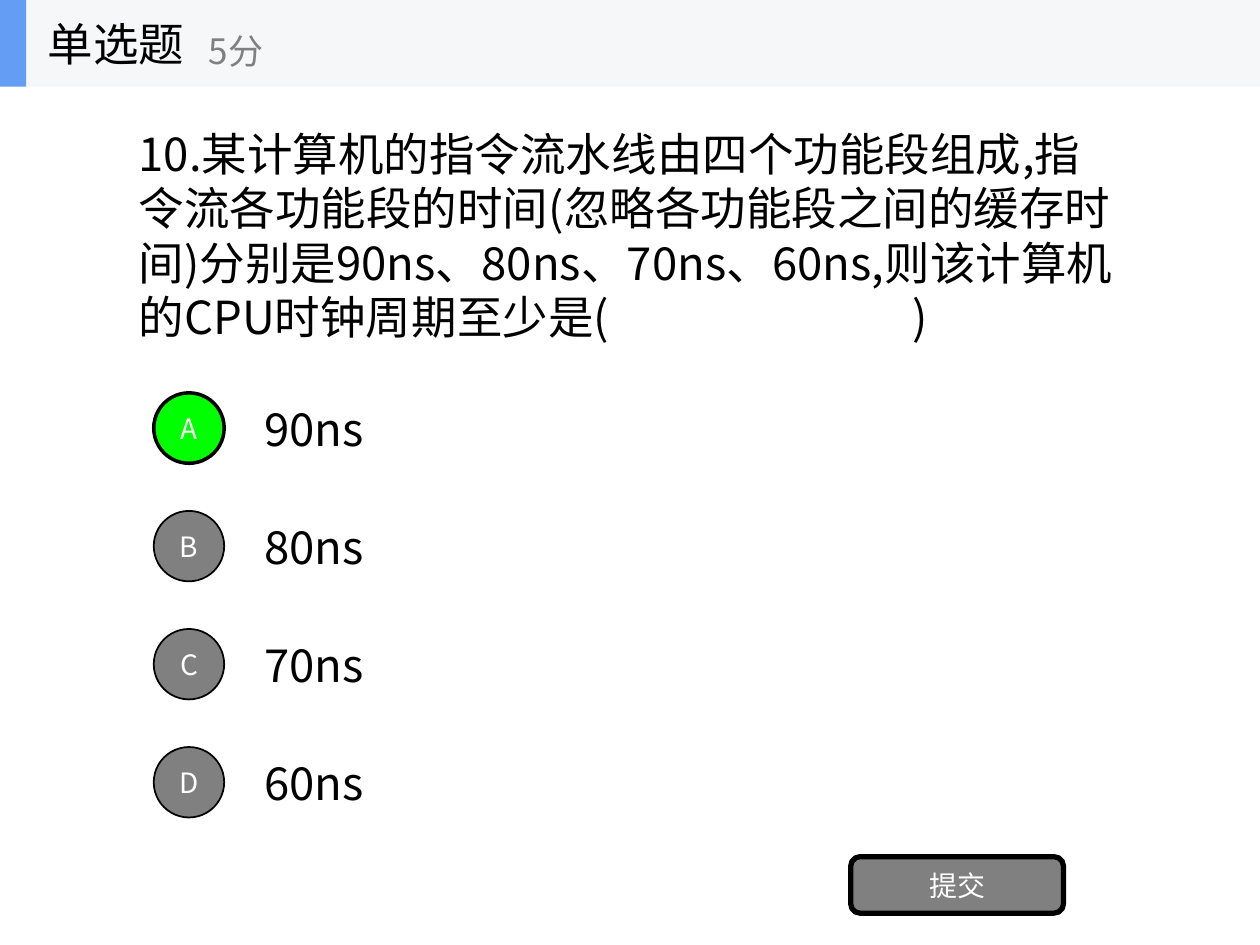
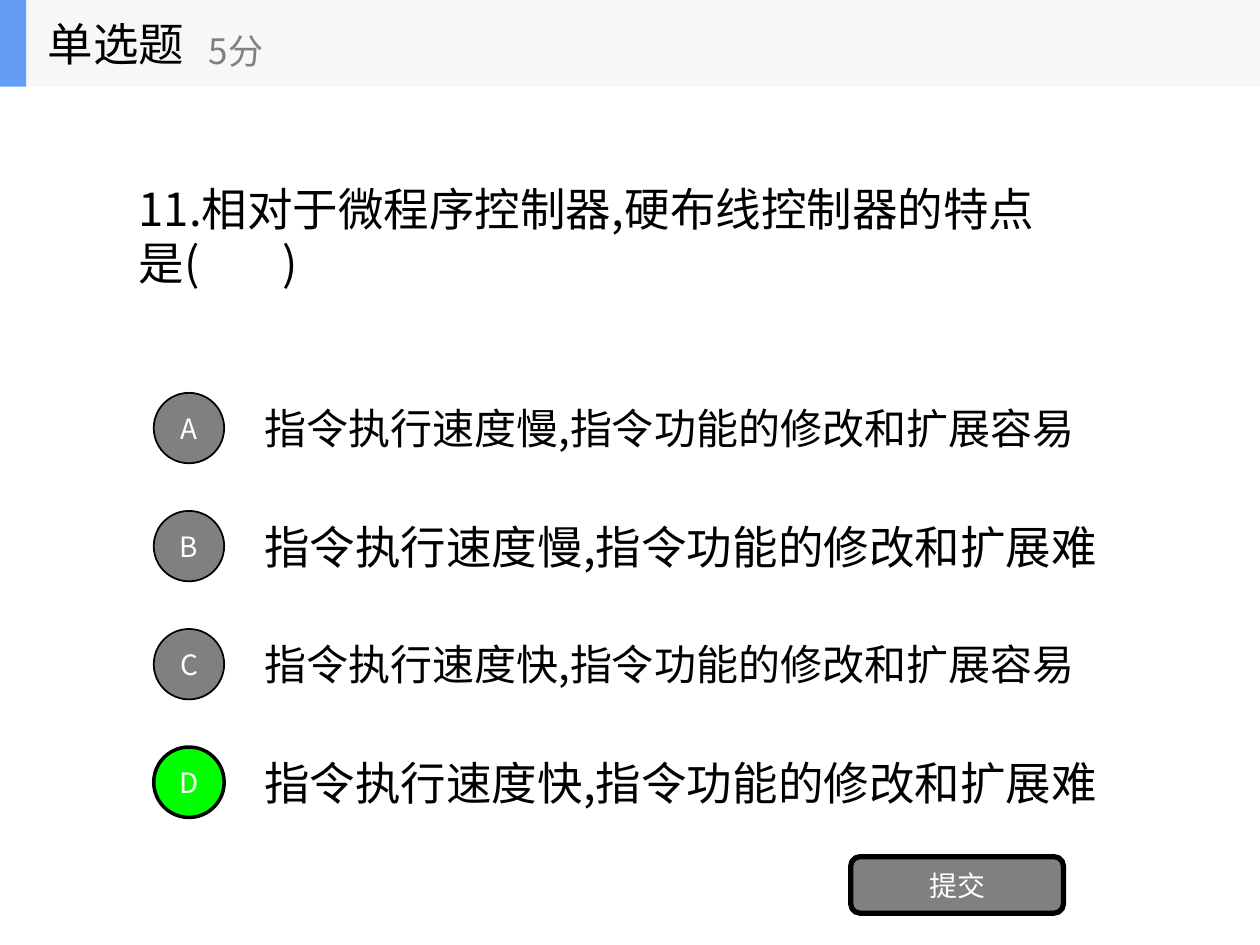
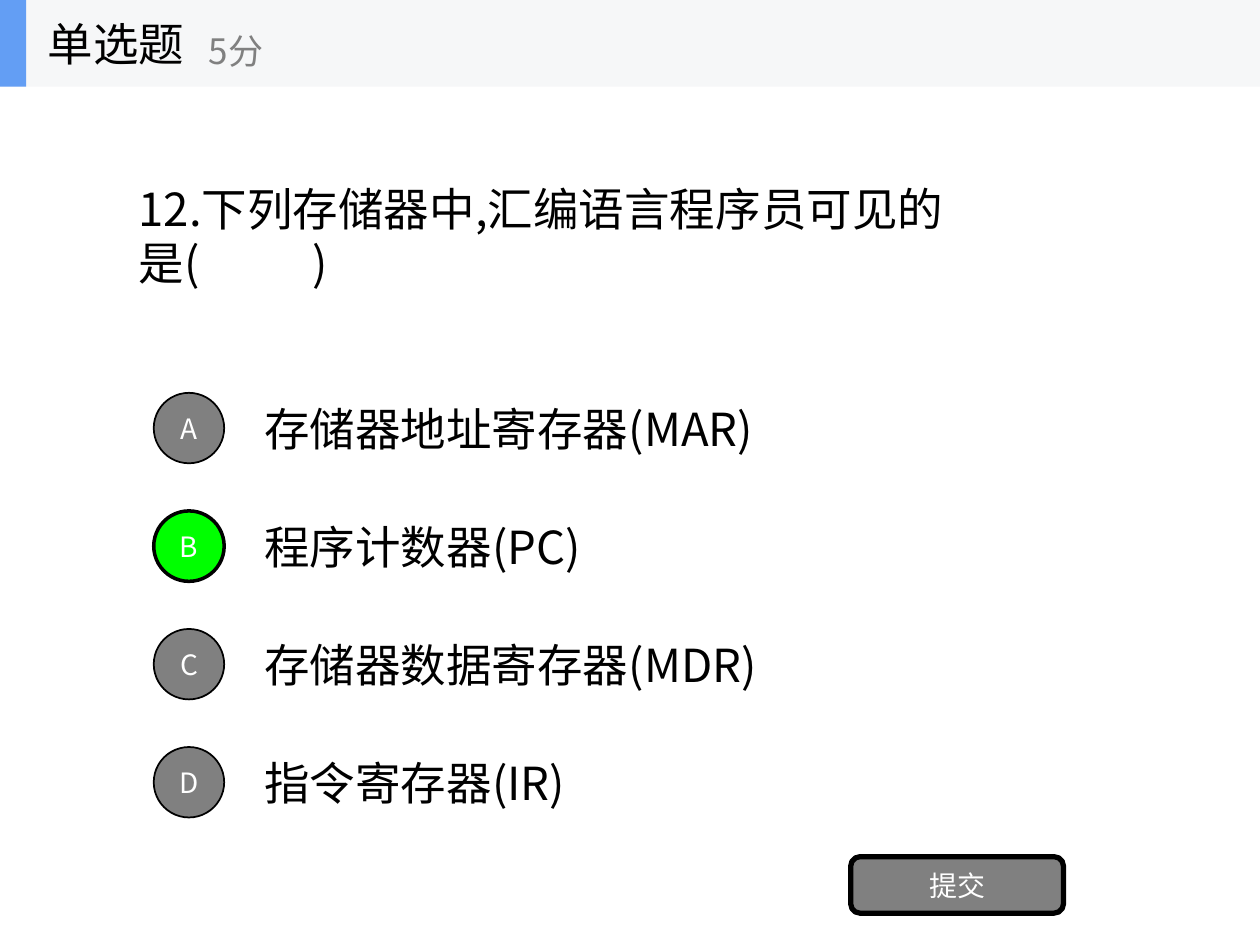
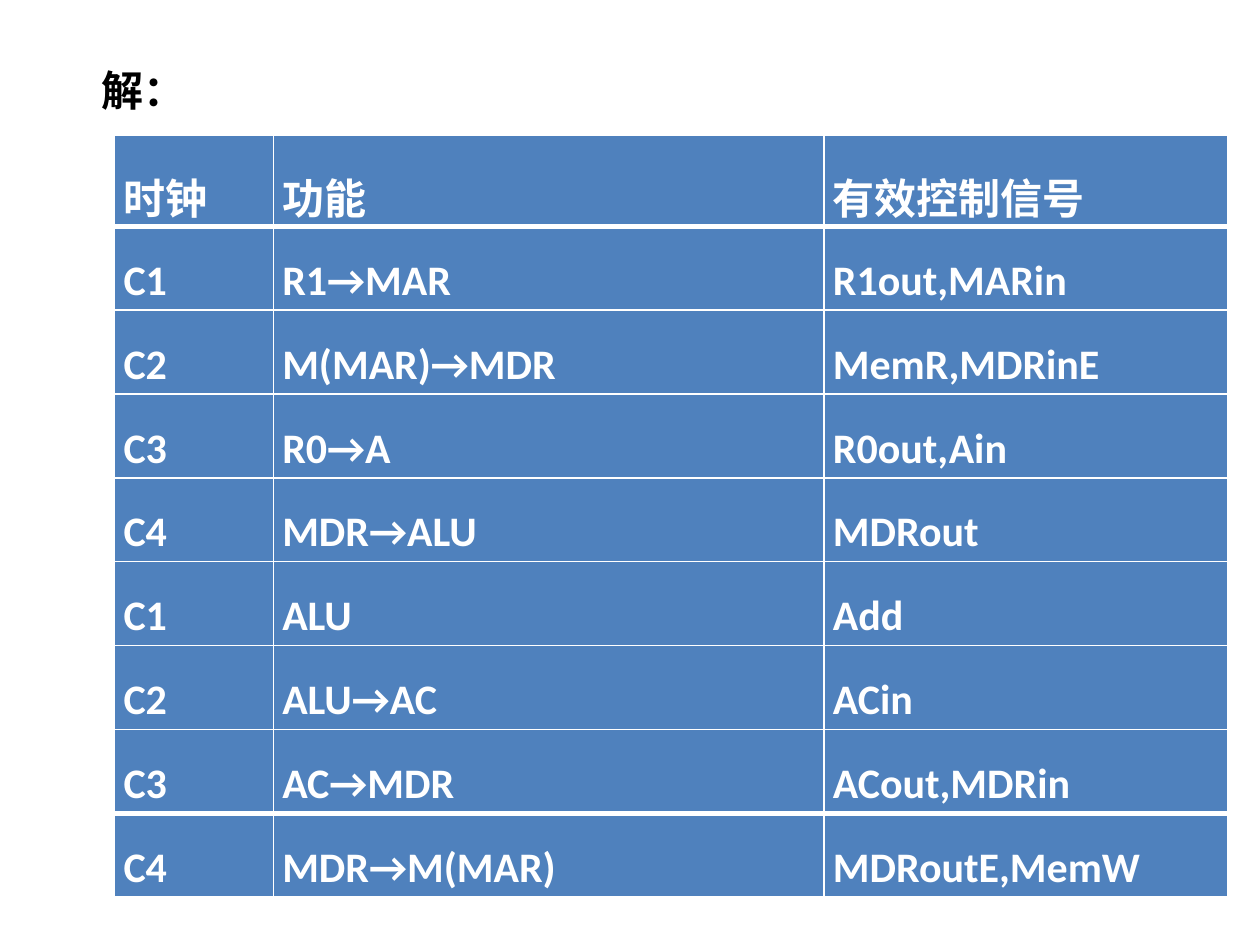
from pptx import Presentation
from pptx.dml.color import RGBColor
from pptx.enum.shapes import MSO_SHAPE
from pptx.enum.text import MSO_ANCHOR, MSO_AUTO_SIZE, PP_ALIGN
from pptx.oxml.ns import qn
from pptx.util import Cm, Pt
from lxml.etree import SubElement

CJK, LATIN = "Noto Sans CJK SC", "Calibri"
BLACK, WHITE, GREY = "000000", "FFFFFF", "808080"
CORRECT, BAND, ACCENT, TABLE_BLUE = "00FF00", "F6F7F8", "639EF4", "4F81BD"

QUESTIONS = [
    dict(stem="10.某计算机的指令流水线由四个功能段组成,指令流各功能段的时间"
              "(忽略各功能段之间的缓存时间)分别是90ns、80ns、70ns、60ns,"
              "则该计算机的CPU时钟周期至少是(\t)",
         box=(2.41, 20.29, 4.65), blank_end=15.6, answer="A",
         options=[("90ns", 26, 2.84), ("80ns", 26, 2.84),
                  ("70ns", 26, 2.84), ("60ns", 26, 2.84)]),
    dict(stem="11.相对于微程序控制器,硬布线控制器的特点是(\t)",
         box=(3.51, 19.46, 2.46), blank_end=2.9, answer="D",
         options=[("指令执行速度慢,指令功能的修改和扩展容易", 24, 17.04),
                  ("指令执行速度慢,指令功能的修改和扩展难", 26, 17.5),
                  ("指令执行速度快,指令功能的修改和扩展容易", 24, 17.04),
                  ("指令执行速度快,指令功能的修改和扩展难", 26, 17.5)]),
    dict(stem="12.下列存储器中,汇编语言程序员可见的是(\t)",
         box=(3.51, 17.63, 2.46), blank_end=3.5, answer="B",
         options=[("存储器地址寄存器(MAR)", 26, 10.87),
                  ("程序计数器(PC)", 26, 7.14),
                  ("存储器数据寄存器(MDR)", 26, 10.92),
                  ("指令寄存器(IR)", 26, 6.83)]),
]

SIGNALS = [
    ("时钟", "功能", "有效控制信号"),
    ("C1", "R1→MAR", "R1out,MARin"),
    ("C2", "M(MAR)→MDR", "MemR,MDRinE"),
    ("C3", "R0→A", "R0out,Ain"),
    ("C4", "MDR→ALU", "MDRout"),
    ("C1", "ALU", "Add"),
    ("C2", "ALU→AC", "ACin"),
    ("C3", "AC→MDR", "ACout,MDRin"),
    ("C4", "MDR→M(MAR)", "MDRoutE,MemW"),
]
COLUMNS = (3.2, 11.1, 8.13)
ROW_HEIGHT = 1.69

BADGE_LEFT, BADGE_TOP, BADGE_SIZE, BADGE_STEP = 3.1, 7.92, 1.42, 2.38
OPTION_LEFT, OPTION_HEIGHT = 5.08, 1.35
HEADER_HEIGHT = 1.75


def rgb(value):
    return RGBColor.from_string(value)


def write(tf, text, size, color=BLACK, font=CJK, bold=False, align=PP_ALIGN.LEFT):
    p = tf.paragraphs[0]
    p.alignment = align
    r = p.add_run()
    r.text = text
    r.font.size = Pt(size)
    r.font.name = font
    r.font.bold = bold
    r.font.color.rgb = rgb(color)
    if font == CJK:
        SubElement(r.font._element, qn("a:ea")).set("typeface", font)
    return p


def frame(sp, wrap=True):
    tf = sp.text_frame
    tf.auto_size = MSO_AUTO_SIZE.NONE
    tf.word_wrap = wrap
    tf.vertical_anchor = MSO_ANCHOR.MIDDLE
    return tf


def add_label(shapes, box, text, size, color=BLACK, wrap=True):
    sp = shapes.add_textbox(*map(Cm, box))
    write(frame(sp, wrap), text, size, color)


def add_block(shapes, kind, box, fill, line=0, text=""):
    sp = shapes.add_shape(kind, *map(Cm, box))
    sp.shadow.inherit = False
    sp.fill.solid()
    sp.fill.fore_color.rgb = rgb(fill)
    if line:
        sp.line.color.rgb = rgb(BLACK)
        sp.line.width = Pt(line)
    else:
        sp.line.fill.background()
    if text:
        write(frame(sp), text, 16, WHITE, align=PP_ALIGN.CENTER)


def set_title(s, box, text, size, bold=False, wrap=True):
    sp = s.shapes.title
    sp.left, sp.top, sp.width, sp.height = map(Cm, box)
    return write(frame(sp, wrap), text, size, bold=bold)


def add_header(s):
    shapes = s.shapes.add_group_shape().shapes
    add_block(shapes, MSO_SHAPE.RECTANGLE, (0, 0, 25.4, HEADER_HEIGHT), BAND)
    add_block(shapes, MSO_SHAPE.RECTANGLE, (0, 0, 0.53, HEADER_HEIGHT), ACCENT)
    add_label(shapes, (0.71, 0, 5.28, HEADER_HEIGHT), "单选题", 26, wrap=False)
    add_label(shapes, (3.96, 0.3, 6.35, 1.42), "5分", 20, GREY, wrap=False)


def add_question(s, question):
    top, width, height = question["box"]
    p = set_title(s, (2.54, top, width, height), question["stem"], 26)
    tabs = SubElement(p._p.get_or_add_pPr(), qn("a:tabLst"))
    tab = SubElement(tabs, qn("a:tab"))
    tab.set("pos", str(Cm(question["blank_end"])))
    tab.set("algn", "l")
    for i, (text, size, width) in enumerate(question["options"]):
        letter = "ABCD"[i]
        correct = letter == question["answer"]
        top = BADGE_TOP + i * BADGE_STEP
        text_top = top + (BADGE_SIZE - OPTION_HEIGHT) / 2
        add_label(s.shapes, (OPTION_LEFT, text_top, width, OPTION_HEIGHT), text, size)
        add_block(s.shapes, MSO_SHAPE.OVAL, (BADGE_LEFT, top, BADGE_SIZE, BADGE_SIZE),
                  CORRECT if correct else GREY, 2 if correct else 1, letter)
    add_block(s.shapes, MSO_SHAPE.ROUNDED_RECTANGLE, (17.15, 17.27, 4.29, 1.14),
              GREY, 3, "提交")
    add_header(s)


def set_borders(cell, **widths):
    tcPr = cell._tc.get_or_add_tcPr()
    for i, side in enumerate("LRTB"):
        ln = tcPr.makeelement(qn(f"a:ln{side}"), {"w": str(Pt(widths.get(side, 1)))})
        fill = SubElement(ln, qn("a:solidFill"))
        SubElement(fill, qn("a:srgbClr")).set("val", WHITE)
        tcPr.insert(i, ln)


def add_signal_table(s):
    last = len(SIGNALS) - 1
    table = s.shapes.add_table(len(SIGNALS), len(COLUMNS), Cm(2.31), Cm(2.72),
                               Cm(sum(COLUMNS)), Cm(ROW_HEIGHT * len(SIGNALS))).table
    table.horz_banding = False
    for column, width in zip(table.columns, COLUMNS):
        column.width = Cm(width)
    for i, row in enumerate(SIGNALS):
        table.rows[i].height = Cm(ROW_HEIGHT)
        for j, text in enumerate(row):
            cell = table.cell(i, j)
            cell.margin_left = cell.margin_right = Cm(0.18)
            cell.margin_top = cell.margin_bottom = 0
            cell.vertical_anchor = MSO_ANCHOR.MIDDLE
            cell.fill.solid()
            cell.fill.fore_color.rgb = rgb(TABLE_BLUE)
            p = write(cell.text_frame, text, 24, WHITE, LATIN, True, PP_ALIGN.JUSTIFY)
            p.line_spacing = 1.5
            set_borders(cell, T=3 if i in (1, last) else 1,
                        B=3 if i in (0, last - 1) else 1)


prs = Presentation()
prs.slide_width, prs.slide_height = Cm(25.4), Cm(19.05)
title_only = prs.slide_layouts[5]

for question in QUESTIONS:
    add_question(prs.slides.add_slide(title_only), question)

s = prs.slides.add_slide(title_only)
set_title(s, (1.8, 1.1, 2.24, 1.4), "解：", 24, bold=True, wrap=False)
add_signal_table(s)

prs.save("out.pptx")
